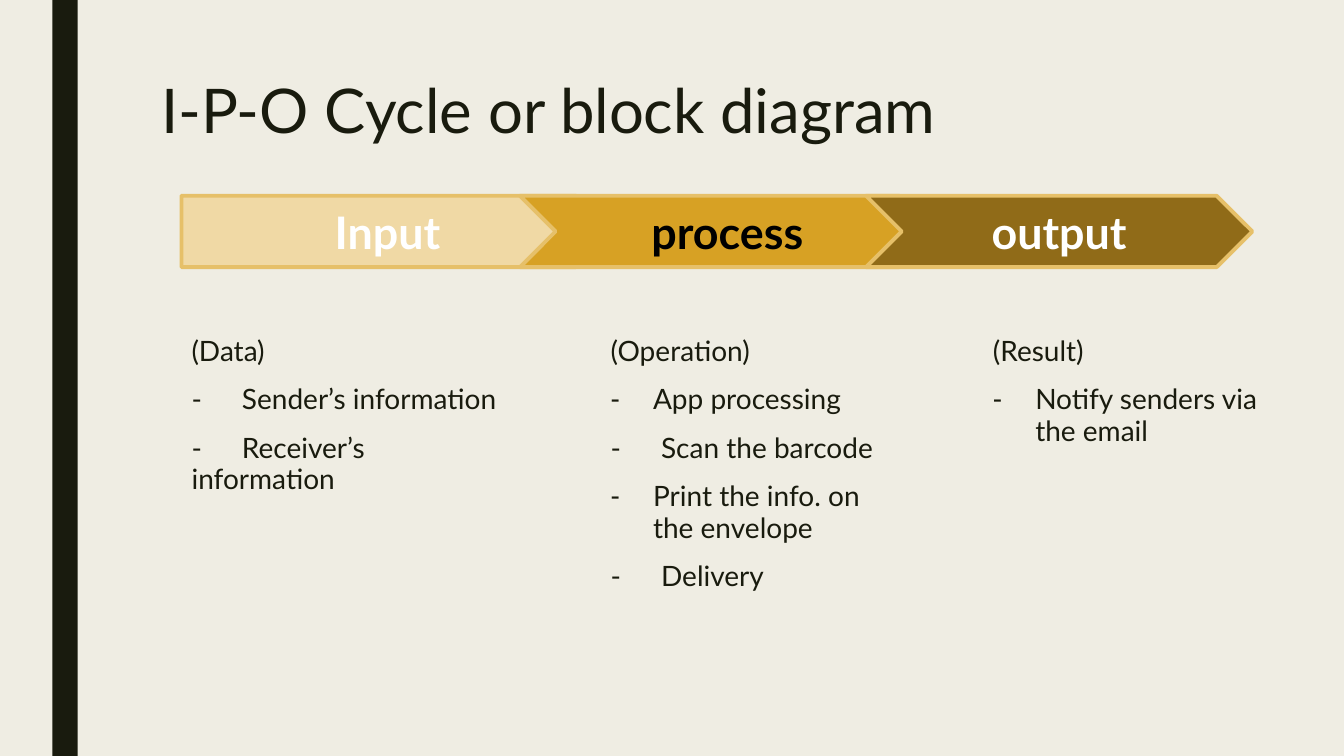
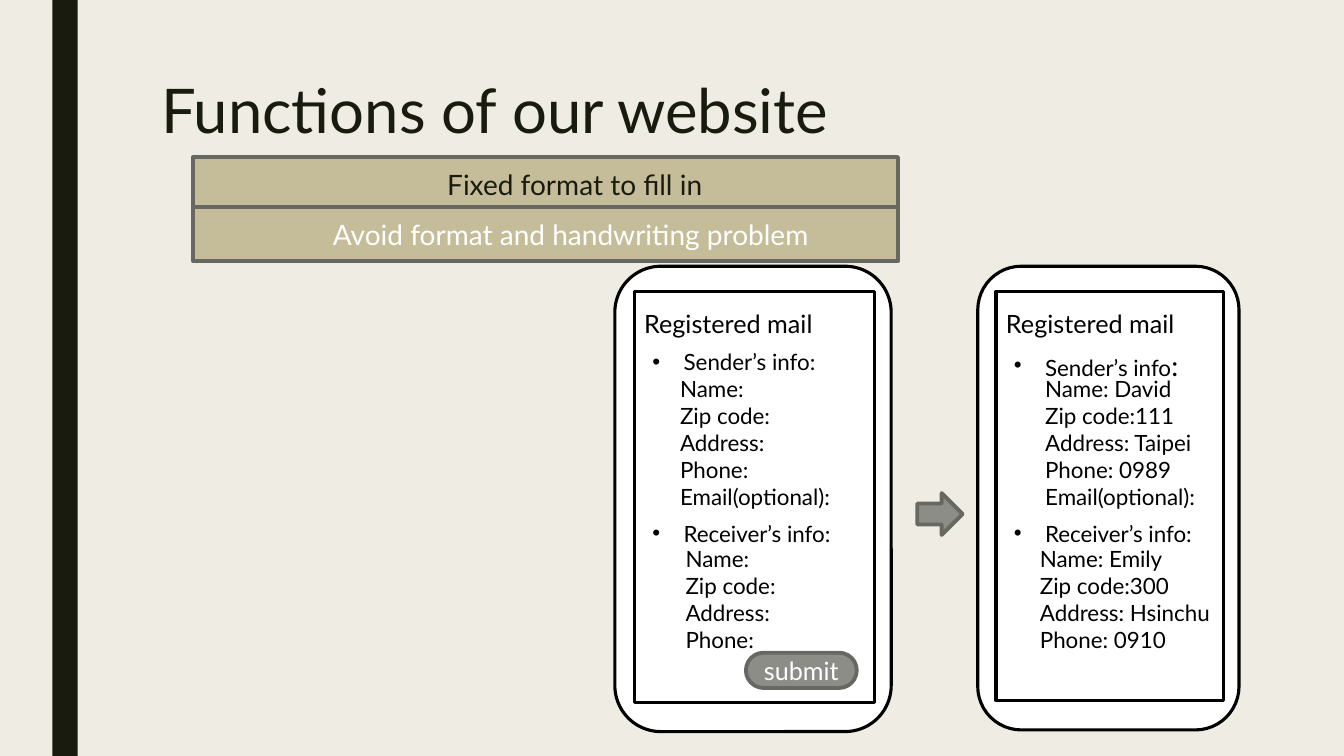
from dataclasses import dataclass
from pptx import Presentation, util as u
from pptx.dml.color import RGBColor
from pptx.enum import shapes as sh, text as tx
from pptx.oxml import ns
from lxml import etree


@dataclass(frozen=True)
class Theme:
    font: str = "Lato"
    paper: str = "EFEDE3"
    ink: str = "191B0E"
    black: str = "000000"
    white: str = "FFFFFF"
    pale: str = "F0D9A5"
    gold: str = "D7A124"
    brown: str = "906B18"
    edge: str = "E6C069"
    sand: str = "C5BD99"
    gray: str = "8C8D86"
    dark: str = "686863"
    title: int = 44
    step: int = 32
    body: int = 20
    head: int = 18
    field: int = 16
    thick: float = 2.75
    thin: float = 2.25


T = Theme()
COLS, ROWS = 160, 90
WIDE, HIGH = u.Inches(13.33), u.Inches(7.5)
SHAPE = sh.MSO_SHAPE
LEFT, MID = tx.PP_ALIGN.LEFT, tx.PP_ALIGN.CENTER
TOP, CORE = tx.MSO_ANCHOR.TOP, tx.MSO_ANCHOR.MIDDLE
DASH = {"bullet": "-", "hang": 0.42}
DOT = {"bullet": "•", "hang": 0.31}
TAB = {"tab": 0.46}


def cells(x, y, w, h):
    return (round(x * WIDE / COLS), round(y * HIGH / ROWS),
            round(w * WIDE / COLS), round(h * HIGH / ROWS))


def rgb(code):
    return RGBColor.from_string(code)


def mark(para, bullet=None, hang=0, left=0, tab=None):
    props = para._p.get_or_add_pPr()
    props.set("marL", str(u.Inches(hang + left)))
    props.set("indent", str(-u.Inches(hang)))
    if bullet:
        etree.SubElement(props, ns.qn("a:buFont")).set("typeface", "Arial")
        etree.SubElement(props, ns.qn("a:buChar")).set("char", bullet)
    else:
        etree.SubElement(props, ns.qn("a:buNone"))
    if tab:
        stops = etree.SubElement(props, ns.qn("a:tabLst"))
        stop = etree.SubElement(stops, ns.qn("a:tab"))
        stop.set("pos", str(u.Inches(tab)))
        stop.set("algn", "l")


def write(shape, lines, size=T.body, color=T.ink, bold=False, align=LEFT,
          anchor=TOP, space=None, before=0, after=0, tail=None, **form):
    frame = shape.text_frame
    frame.word_wrap = True
    frame.auto_size = tx.MSO_AUTO_SIZE.NONE
    frame.vertical_anchor = anchor
    for i, line in enumerate(lines):
        words, own = (line, {}) if isinstance(line, str) else line
        para = frame.add_paragraph() if i else frame.paragraphs[0]
        mark(para, **{**form, **own})
        para.alignment = align
        para.line_spacing = space
        para.space_before = u.Pt(before if i else 0)
        para.space_after = u.Pt(after)
        for part, points in [(words, size)] + ([tail] if tail else []):
            run = para.add_run()
            run.text = part
            font = run.font
            font.name, font.size, font.bold = T.font, u.Pt(points), bold
            font.color.rgb = rgb(color)


def block(slide, kind, box, fill, line=None, width=T.thick):
    shape = slide.shapes.add_shape(kind, *cells(*box))
    shape.shadow.inherit = False
    shape.fill.solid()
    shape.fill.fore_color.rgb = rgb(fill)
    if line:
        shape.line.color.rgb = rgb(line)
        shape.line.width = u.Pt(width)
    else:
        shape.line.fill.background()
    return shape


def label(slide, box, lines, **form):
    write(slide.shapes.add_textbox(*cells(*box)), lines, **form)


def place(holder, box):
    holder.left, holder.top, holder.width, holder.height = cells(*box)
    return holder


def base(deck, slide):
    master = deck.slide_master
    master.background.fill.solid()
    master.background.fill.fore_color.rgb = rgb(T.paper)
    band = block(slide, SHAPE.RECTANGLE, (6.24, 0, 3, ROWS), T.ink)
    band._element.nvSpPr.cNvPr.set("id", "99")
    master.shapes._spTree.insert(2, band._element)


def start(deck, layout, name):
    slide = deck.slides.add_slide(deck.slide_layouts[layout])
    write(place(slide.shapes.title, (18, 9, 126, 19.4)), [name],
          size=T.title, space=0.89)
    return slide


def chain(slide, y, h):
    steps = [("Input", SHAPE.PENTAGON, 21.6, 51.2, T.pale, T.white),
             ("process", SHAPE.CHEVRON, 61.9, 49.4, T.gold, T.black),
             ("output", SHAPE.CHEVRON, 103.1, 46, T.brown, T.white)]
    for name, kind, x, w, fill, color in steps:
        write(block(slide, kind, (x, y, w, h), fill, T.edge), [name],
              size=T.step, color=color, bold=True, align=MID, anchor=CORE)


def lists(slide, y, h):
    parts = [
        (21.6, 39.6, ["(Data)", ("-\tSender’s information", TAB),
                      ("-\tReceiver’s information", TAB)]),
        (71.5, 35.8, ["(Operation)", ("App processing", DASH),
                      ("-\tScan the barcode", TAB),
                      ("Print the info. on the envelope", DASH),
                      ("-\tDelivery", TAB)]),
        (117, 37.1, ["(Result)", ("Notify senders via the email", DASH)])]
    for key, (x, w, lines) in enumerate(parts, 1):
        write(place(slide.placeholders[key], (x, y, w, h)), lines,
              space=0.94, before=10, after=2)
    spare = slide.placeholders[4]._element
    spare.getparent().remove(spare)


def bars(slide, x, y, w, h):
    rows = [("Fixed format to fill in", T.ink, 0.58),
            ("Avoid format and handwriting problem", T.white, 0.5)]
    for i, (name, color, left) in enumerate(rows):
        bar = block(slide, SHAPE.RECTANGLE, (x, y + 5.9 * i, w, h),
                    T.sand, T.dark)
        write(bar, [name], color=color, align=MID, anchor=CORE, left=left)


def phone(slide, x, y, w, h, send, get, shifts, colon=T.field):
    block(slide, SHAPE.ROUNDED_RECTANGLE, (x, y, w, h),
          T.white, T.black, T.thin)
    block(slide, SHAPE.RECTANGLE, (x + 0.07 * w, y + 3, 0.87 * w, h - 6.5),
          T.white, T.black, T.thin)
    label(slide, (x + 0.07 * w, y + 4.4, 0.8 * w, 4), ["Registered mail"],
          size=T.head, color=T.black)
    groups = [("Sender’s info", 9.2, 12.4, send, colon),
              ("Receiver’s info", 29.6, 32.6, get, T.field)]
    for (name, top, low, rows, size), shift in zip(groups, shifts):
        label(slide, (x + 0.1 * w, y + top, 0.81 * w, 4.4), [name],
              size=T.field, color=T.black, tail=(":", size), **DOT)
        label(slide, (x + shift * w, y + low, 0.81 * w, 3.5 * len(rows)),
              rows, size=T.field, color=T.black)


def submit(slide, x, y, w, h):
    pill = block(slide, SHAPE.ROUNDED_RECTANGLE, (x, y, w, h),
                 T.gray, T.dark)
    pill.adjustments[0] = 0.5
    write(pill, ["submit"], size=T.head, color=T.white,
          align=MID, anchor=CORE)


def cycle(deck):
    slide = start(deck, 4, "I-P-O Cycle or block diagram")
    base(deck, slide)
    lists(slide, 39.4, 44.3)
    chain(slide, 23.3, 8.5)


def site(deck):
    slide = start(deck, 5, "Functions of our website")
    block(slide, SHAPE.RIGHT_ARROW, (109.2, 58.7, 5.4, 5), T.gray, T.dark)
    bars(slide, 23, 18.7, 83.9, 6.5)
    blank = ["Name:", "Zip code:", "Address:", "Phone:"]
    mail = "Email(optional):"
    phone(slide, 116.4, 31.7, 31.1, 55.2,
          ["Name: David", "Zip code:111", "Address: Taipei",
           "Phone: 0989", mail],
          ["Name: Emily", "Zip code:300", "Address: Hsinchu",
           "Phone: 0910"], (0.22, 0.2), colon=T.body)
    phone(slide, 73.2, 31.7, 32.9, 55.4, blank + [mail], blank, (0.2, 0.22))
    submit(slide, 88.8, 77.7, 13.2, 4.2)


def main():
    deck = Presentation()
    deck.slide_width, deck.slide_height = WIDE, HIGH
    cycle(deck)
    site(deck)
    deck.save("out.pptx")


if __name__ == "__main__":
    main()
